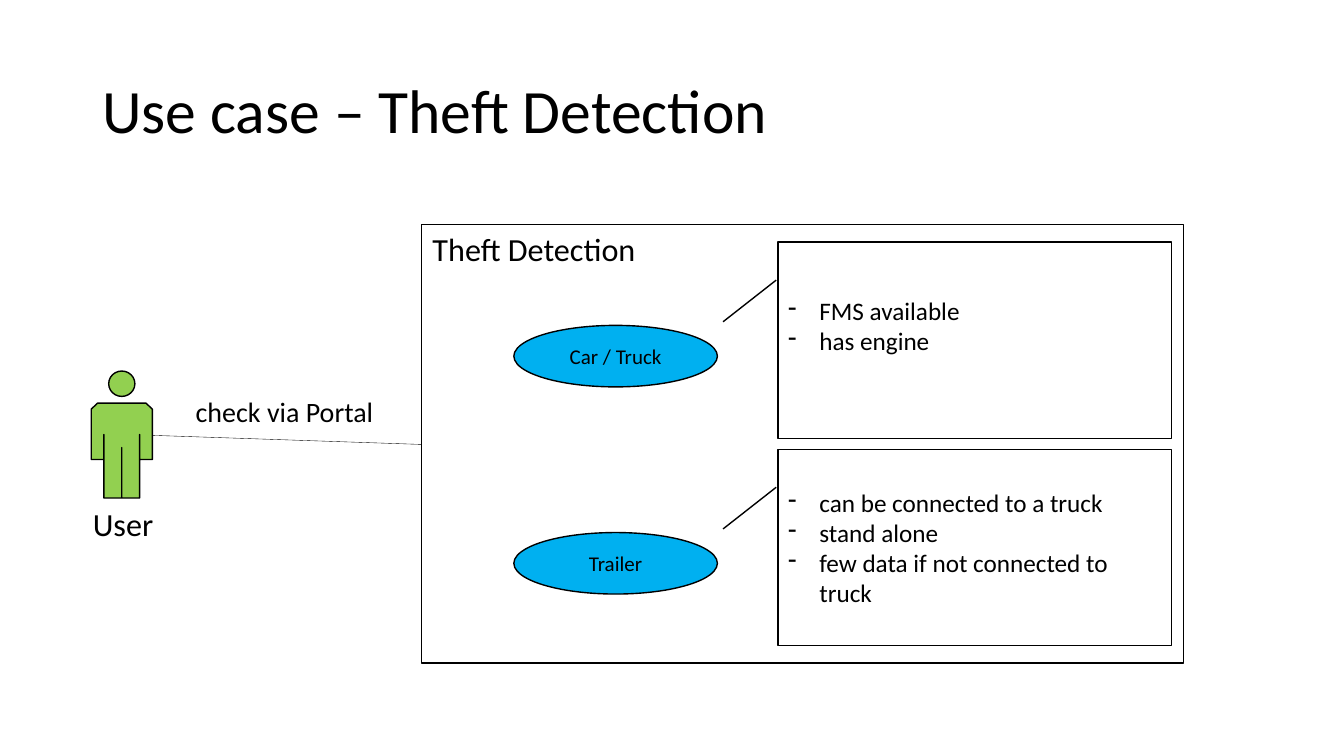
from lxml import etree
from pptx import Presentation
from pptx.dml.color import RGBColor
from pptx.enum.shapes import MSO_CONNECTOR, MSO_SHAPE
from pptx.enum.text import MSO_ANCHOR, PP_ALIGN
from pptx.oxml.ns import qn
from pptx.util import Cm, Pt

RECT, OVAL = MSO_SHAPE.RECTANGLE, MSO_SHAPE.OVAL
CALLOUT, LINE = MSO_SHAPE.LINE_CALLOUT_1, MSO_CONNECTOR.STRAIGHT
TOP, MID = MSO_ANCHOR.TOP, MSO_ANCHOR.MIDDLE
LEFT, CENTER = PP_ALIGN.LEFT, PP_ALIGN.CENTER
BLACK, WHITE, BLUE, GREEN = "000000", "FFFFFF", "00B0F0", "92D050"
INSETS = (0.25, 0.13, 0.25, 0.13)

# Content: text, place in cm, size, fill
LABELS = [
    ("Theft Detection", (10.9, 5.79, 5.82, 1.3), 23, None),
    ("User", (2.34, 12.7, 2.03, 1.3), 23, None),
    ("check via Portal", (4.93, 9.93, 4.6, 0.86), 20, WHITE),
]
# Vehicle, its notes, bottom inset of the notes
VEHICLES = [
    ("Car / Truck", ["FMS available", "has engine"], 0.89),
    ("Trailer", ["can be connected to a truck", "stand alone",
                 "few data if not connected to truck"], 0.13),
]
FRAME = (10.62, 5.66, 19.2, 11.05)
STEP = 5.22
ARROW = (0.194, -0.005, 0.406, -0.14)

# User figure: offsets from the middle axis, and heights
AXIS = 3.07
BODY = [(-0.45, 12.55), (-0.45, 10.95), (-0.45, 11.58), (-0.77, 11.58),
        (-0.77, 10.31), (-0.61, 10.16), (0.61, 10.16), (0.77, 10.31),
        (0.77, 11.58), (0.45, 11.58), (0.45, 10.95), (0.45, 12.55),
        (0, 12.55), (0, 11.28), (0, 12.55)]

deck = Presentation()
deck.slide_width, deck.slide_height = Cm(33.87), Cm(19.05)
slide = deck.slides.add_slide(deck.slide_layouts[6])
shapes = slide.shapes


def color(code):
    return RGBColor.from_string(code)


def paint(shape, fill=None, line=BLACK):
    shape.shadow.inherit = False
    if fill:
        shape.fill.solid()
        shape.fill.fore_color.rgb = color(fill)
    else:
        shape.fill.background()
    if line:
        shape.line.color.rgb = color(line)
        shape.line.width = Pt(1)
    else:
        shape.line.fill.background()
    return shape


def draw(kind, place, fill=None, line=BLACK):
    return paint(shapes.add_shape(kind, *map(Cm, place)), fill, line)


def write(shape, *lines, size=18, align=LEFT, anchor=TOP, insets=(0, 0, 0, 0),
          spacing=None, bullet=None):
    frame = shape.text_frame
    frame.word_wrap = True
    frame.vertical_anchor = anchor
    (frame.margin_left, frame.margin_top,
     frame.margin_right, frame.margin_bottom) = map(Cm, insets)
    for i, line in enumerate(lines):
        para = frame.add_paragraph() if i else frame.paragraphs[0]
        para.alignment = align
        if spacing:
            para.line_spacing = spacing
        run = para.add_run()
        run.text = line
        run.font.size, run.font.name = Pt(size), "Calibri"
        run.font.color.rgb = color(BLACK)
        if bullet:
            props = para._p.get_or_add_pPr()
            props.set("marL", str(Cm(0.79)))
            props.set("indent", str(-Cm(0.79)))
            etree.SubElement(props, qn("a:buChar")).set("char", bullet)


# Title
title = shapes.add_textbox(Cm(2.33), Cm(1.01), Cm(29.21), Cm(3.68))
write(title, "Use case – Theft Detection", size=44, anchor=MID,
      insets=INSETS, spacing=0.9)

# System frame
draw(RECT, FRAME)

# User figure
pen = shapes.build_freeform(Cm(AXIS + BODY[0][0]), Cm(BODY[0][1]))
pen.add_line_segments([(Cm(AXIS + x), Cm(y)) for x, y in BODY[1:]])
paint(pen.convert_to_shape(), GREEN)
draw(OVAL, (AXIS - 0.33, 9.35, 0.66, 0.64), GREEN)

# Link from user to frame
link = shapes.add_connector(LINE, Cm(3.84), Cm(10.97), Cm(10.62), Cm(11.2))
link.line.color.rgb = color(BLACK)
link.line.width = Pt(0.25)
etree.SubElement(link._element.spPr, qn("a:effectLst"))

# Labels
for text, place, size, fill in LABELS:
    write(draw(RECT, place, fill, None), text, size=size)

# Vehicles with their notes
for i, (name, notes, low) in enumerate(VEHICLES):
    drop = i * STEP
    oval = draw(OVAL, (12.95, 8.2 + drop, 5.13, 1.55), BLUE)
    write(oval, name, size=15, align=CENTER, anchor=MID)
    box = draw(CALLOUT, (19.61, 6.1 + drop, 9.91, 4.95))
    for k, value in enumerate(ARROW):
        box.adjustments[k] = value
    write(box, *notes, anchor=MID, insets=INSETS[:3] + (low,), bullet="-")

deck.save("out.pptx")
